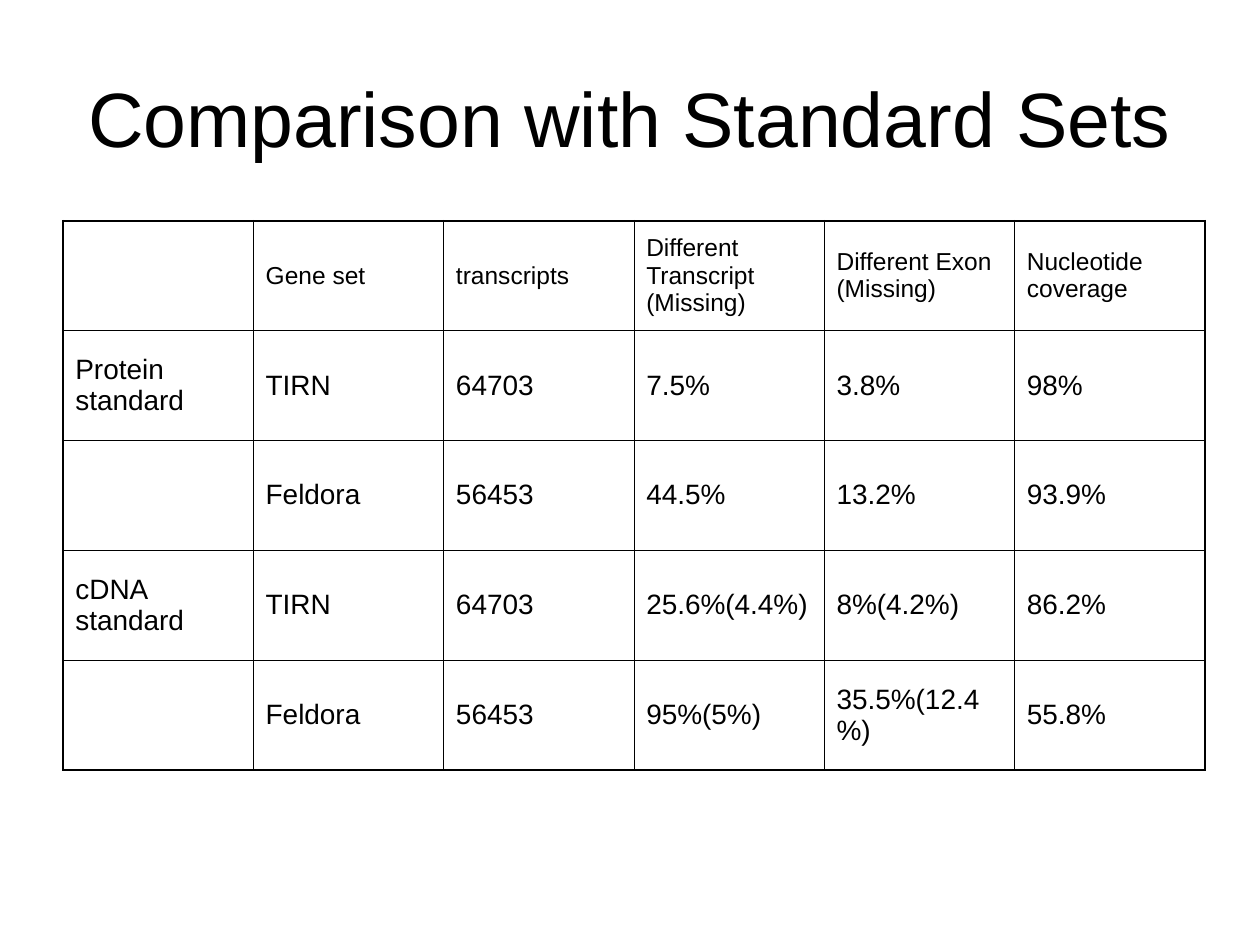
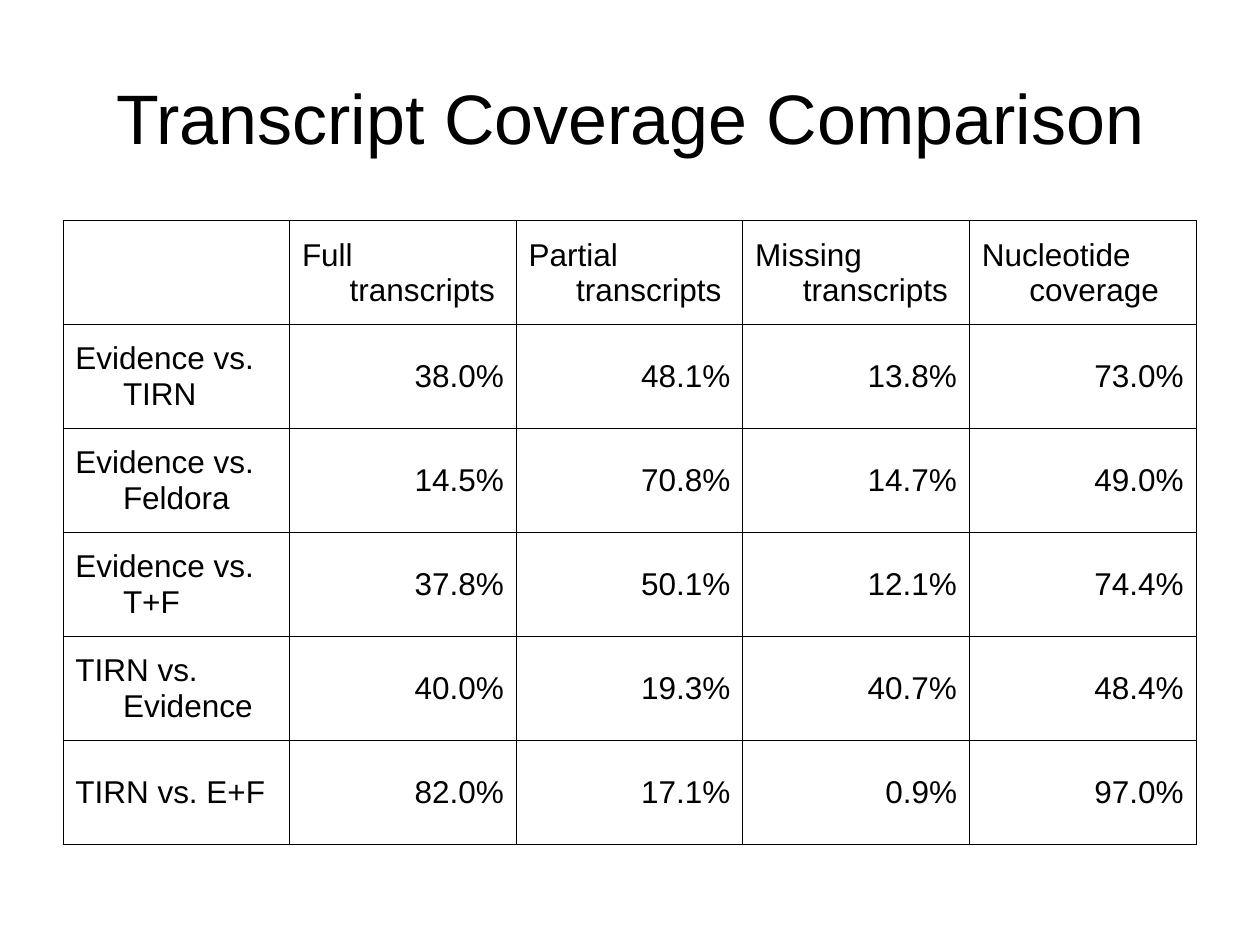
from lxml import etree
from pptx import Presentation
from pptx.dml.color import RGBColor
from pptx.enum import text
from pptx.oxml import ns
from pptx.util import Cm, Pt

BLACK = RGBColor(0x00, 0x00, 0x00)
WHITE = RGBColor(0xFF, 0xFF, 0xFF)
FONT = "Arial"
THIN, THICK = 0.45, 1.08
HANGING = 0.96
LEFT, ALIGN_RIGHT = text.PP_ALIGN.LEFT, text.PP_ALIGN.RIGHT

TITLE_BOX = dict(left=Cm(1.27), top=Cm(0.76), width=Cm(22.86), height=Cm(3.18))
CELL_FORMAT = dict(
    vertical_anchor=text.MSO_ANCHOR.MIDDLE,
    margin_left=Cm(0.25), margin_right=Cm(0.25),
    margin_top=Cm(0.13), margin_bottom=Cm(0.13),
)
TITLE_FRAME = dict(CELL_FORMAT, word_wrap=True, auto_size=text.MSO_AUTO_SIZE.NONE)
TABLE_LEFT, TABLE_TOP = 1.27, 4.45

COMPARISONS = [
    dict(
        title="Comparison with Standard Sets", title_size=44,
        width=23.02, height=11.07, outer=THICK, hanging=0,
        header_size=14, body_size=16, space_ratio=0.25, value_align=LEFT,
        rows=[
            ("", "Gene set", "transcripts", "Different Transcript (Missing)",
             "Different Exon (Missing)", "Nucleotide coverage"),
            ("Protein standard", "TIRN", "64703", "7.5%", "3.8%", "98%"),
            ("", "Feldora", "56453", "44.5%", "13.2%", "93.9%"),
            ("cDNA standard", "TIRN", "64703", "25.6%(4.4%)", "8%(4.2%)", "86.2%"),
            ("", "Feldora", "56453", "95%(5%)", "35.5%(12.4%)", "55.8%"),
        ],
    ),
    dict(
        title="Transcript Coverage Comparison", title_size=40,
        width=22.84, height=12.57, outer=THIN, hanging=HANGING,
        header_size=18, body_size=18, space_ratio=0, value_align=ALIGN_RIGHT,
        rows=[
            ("", "Full transcripts", "Partial transcripts",
             "Missing transcripts", "Nucleotide coverage"),
            ("Evidence vs. TIRN", "38.0%", "48.1%", "13.8%", "73.0%"),
            ("Evidence vs. Feldora", "14.5%", "70.8%", "14.7%", "49.0%"),
            ("Evidence vs. T+F", "37.8%", "50.1%", "12.1%", "74.4%"),
            ("TIRN vs. Evidence", "40.0%", "19.3%", "40.7%", "48.4%"),
            ("TIRN vs. E+F", "82.0%", "17.1%", "0.9%", "97.0%"),
        ],
    ),
]


def apply(target, values):
    for name, value in values.items():
        setattr(target, name, value)


def style_font(font, size):
    apply(font, dict(name=FONT, size=Pt(size), bold=False))
    font.color.rgb = BLACK


def draw_borders(cell, widths):
    properties = cell._tc.get_or_add_tcPr()
    for position, (side, width) in enumerate(widths.items()):
        line = etree.Element(ns.qn(f"a:ln{side}"), w=str(int(Pt(width))))
        fill = etree.SubElement(line, ns.qn("a:solidFill"))
        etree.SubElement(fill, ns.qn("a:srgbClr"), val=str(BLACK))
        properties.insert(position, line)


def add_title(slide, wording, size):
    title = slide.shapes.title
    apply(title, TITLE_BOX)
    apply(title.text_frame, TITLE_FRAME)
    title.text_frame.text = wording
    heading = title.text_frame.paragraphs[0]
    heading.alignment = text.PP_ALIGN.CENTER
    style_font(heading.runs[0].font, size)


def fill_cell(cell, wording, size, align, comparison):
    apply(cell, CELL_FORMAT)
    cell.fill.background()
    cell.text = wording
    entry = cell.text_frame.paragraphs[0]
    apply(entry, dict(alignment=align,
                      space_before=Pt(size * comparison["space_ratio"])))
    style_font(entry.font, size)
    for run in entry.runs:
        style_font(run.font, size)
    if comparison["hanging"]:
        indent = int(Cm(comparison["hanging"]))
        properties = entry._p.get_or_add_pPr()
        properties.set("marL", str(indent))
        properties.set("indent", str(-indent))


def add_comparison_table(slide, comparison):
    rows = comparison["rows"]
    last_row, last_column = len(rows) - 1, len(rows[0]) - 1
    width, height = Cm(comparison["width"]), Cm(comparison["height"])
    table = slide.shapes.add_table(
        len(rows), len(rows[0]), Cm(TABLE_LEFT), Cm(TABLE_TOP), width, height).table
    apply(table, dict(first_row=False, horz_banding=False))
    for column in table.columns:
        column.width = width // len(rows[0])
    for row in table.rows:
        row.height = height // len(rows)
    for r, row in enumerate(rows):
        for c, wording in enumerate(row):
            cell = table.cell(r, c)
            size = comparison["body_size" if r else "header_size"]
            align = comparison["value_align"] if r and c else LEFT
            fill_cell(cell, wording, size, align, comparison)
            edges = dict(L=c == 0, R=c == last_column, T=r == 0, B=r == last_row)
            draw_borders(cell, {side: comparison["outer"] if at_edge else THIN
                                for side, at_edge in edges.items()})


deck = Presentation()
apply(deck, dict(slide_width=Cm(25.4), slide_height=Cm(19.05)))
title_only = deck.slide_layouts.get_by_name("Title Only")
for comparison in COMPARISONS:
    slide = deck.slides.add_slide(title_only)
    slide.background.fill.solid()
    slide.background.fill.fore_color.rgb = WHITE
    add_title(slide, comparison["title"], comparison["title_size"])
    add_comparison_table(slide, comparison)
deck.save("out.pptx")
